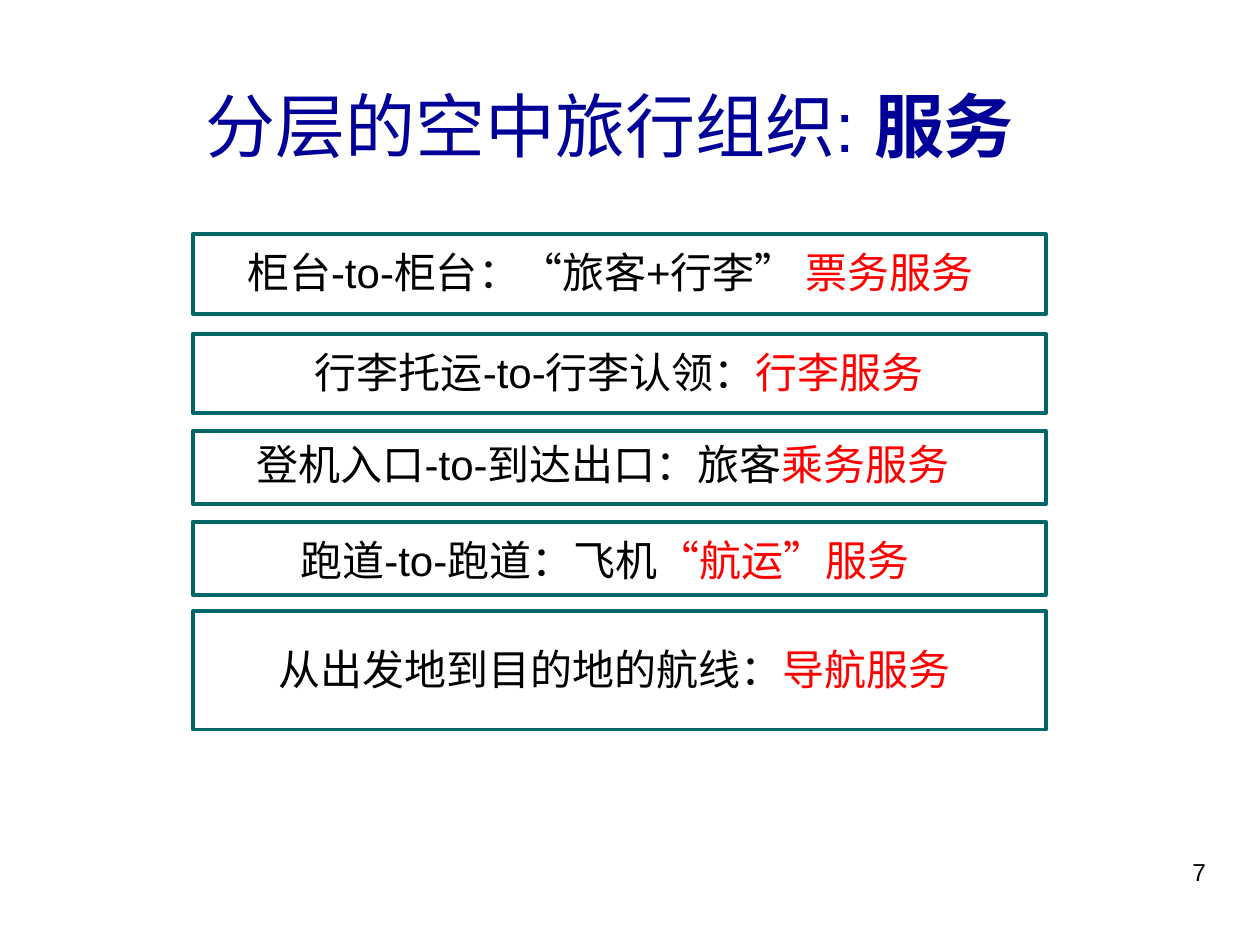
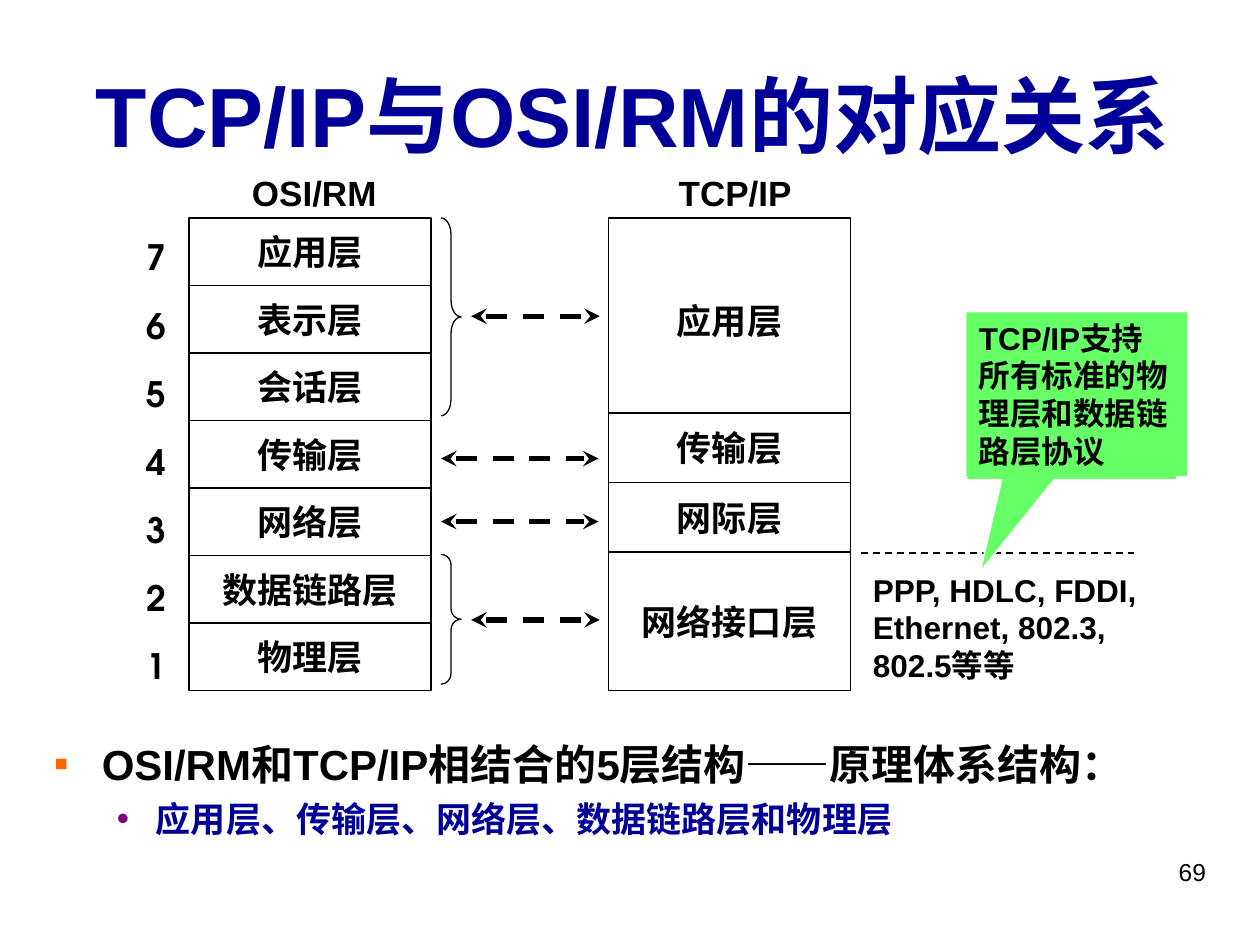
from lxml import etree
from pptx import Presentation
from pptx.dml.color import RGBColor
from pptx.enum import dml, lang, shapes, text
from pptx.oxml.ns import qn
from pptx.util import Inches, Pt

BLACK = RGBColor(0x00, 0x00, 0x00)
WHITE = RGBColor(0xFF, 0xFF, 0xFF)
NAVY = RGBColor(0x00, 0x00, 0x99)
TEAL = RGBColor(0x00, 0x66, 0x66)
RED = RGBColor(0xFF, 0x00, 0x00)
GREEN = RGBColor(0x66, 0xFF, 0x66)
LEFT, CENTER, RIGHT = text.PP_ALIGN.LEFT, text.PP_ALIGN.CENTER, text.PP_ALIGN.RIGHT

# Content: air travel services (frame top, frame height, label box, wrap, route, service, font)
FRAME_LEFT, FRAME_WIDTH = 1.53, 6.77
SERVICES = [
    (1.86, 0.63, (1.7, 1.91, 6.29, 0.5), False, "柜台-to-柜台：“旅客+行李” ", "票务服务", "Arial"),
    (2.65, 0.63, (2.32, 2.7, 5.19, 0.5), False, "行李托运-to-行李认领：", "行李服务", "Arial"),
    (3.42, 0.58, (1.86, 3.43, 5.93, 0.5), False, "登机入口-to-到达出口：旅客", "乘务服务 ", "Arial"),
    (4.14, 0.58, (1.69, 4.19, 6.22, 0.5), True, "跑道-to-跑道：飞机", "“航运”服务", "Arial"),
    (4.85, 0.94, (1.77, 5.06, 6.22, 0.5), True, "从出发地到目的地的航线：", "导航服务", "Comic Neue"),
]

# Content: the two protocol stacks
STACK_TOP, STACK_HEIGHT, LAYER_WIDTH = 1.73, 3.75, 1.92
OSI_LEFT, TCP_LEFT = 1.5, 4.83
OSI_LAYERS = ["应用层", "表示层", "会话层", "传输层", "网络层", "数据链路层", "物理层"]
TCP_LAYERS = [("应用层", 1.73, 1.62), ("传输层", 3.28, 0.55),
              ("网际层", 3.83, 0.55), ("网络接口层", 4.38, 1.1)]
STACK_NAMES = [("OSI/RM", 1.33), ("TCP/IP", 4.67)]
BRACES = [(1.73, 1.57), (4.4, 1.03)]
MATCHES = [(3.74, 4.76, 2.51), (3.5, 4.75, 3.64), (3.5, 4.75, 4.14), (3.74, 4.76, 4.92)]
LINK_PROTOCOLS = "PPP, HDLC, FDDI, Ethernet, 802.3, 802.5等等"
CALLOUT = ["TCP/IP支持", "所有标准的物理层和数据链路层协议"]
# Summary lines: text, size, colour, bullet, bullet colour, margin, hanging indent, space before
SUMMARY = [
    ("OSI/RM和TCP/IP相结合的5层结构——原理体系结构：", 24, BLACK, "▪", "FF6600", 0.38, 0.38, 0),
    ("应用层、传输层、网络层、数据链路层和物理层", 20, NAVY, "•", "800080", 0.81, 0.31, 5),
]


def inches(*lengths):
    return [Inches(length) for length in lengths]


def write(frame, paragraphs, size=20, color=BLACK, bold=False, font="Arial", align=LEFT,
          middle=False, wrap=True, before=0, spacing=None):
    """Each paragraph is a string or a list of (text, run overrides)."""
    frame.word_wrap = wrap
    frame.vertical_anchor = text.MSO_ANCHOR.MIDDLE if middle else text.MSO_ANCHOR.TOP
    for i, runs in enumerate(paragraphs):
        paragraph = frame.add_paragraph() if i else frame.paragraphs[0]
        paragraph.alignment = align
        if i:
            paragraph.space_before = Pt(before)
        if spacing:
            paragraph.line_spacing = spacing
        for words, change in [(runs, {})] if isinstance(runs, str) else runs:
            run = paragraph.add_run()
            run.text = words
            run.font.name = font
            run.font.size = Pt(change.get("size", size))
            run.font.bold = change.get("bold", bold)
            run.font.color.rgb = change.get("color", color)
            run.font.language_id = lang.MSO_LANGUAGE_ID.SIMPLIFIED_CHINESE
    return frame


def add_label(slide, box, paragraphs, **style):
    return write(slide.shapes.add_textbox(*inches(*box)).text_frame, paragraphs, **style)


def add_block(slide, box, fill=None, line=None, width=1.0, kind=shapes.MSO_SHAPE.RECTANGLE):
    block = slide.shapes.add_shape(kind, *inches(*box))
    block.shadow.inherit = False
    if fill is None:
        block.fill.background()
    else:
        block.fill.solid()
        block.fill.fore_color.rgb = fill
    if line is None:
        block.line.fill.background()
    else:
        block.line.color.rgb = line
        block.line.width = Pt(width)
    return block


def add_dashed(slide, left, right, y, width, arrows=False):
    dashed = slide.shapes.add_connector(shapes.MSO_CONNECTOR.STRAIGHT, *inches(left, y, right, y))
    dashed.line.color.rgb = BLACK
    dashed.line.width = Pt(width)
    dashed.line.dash_style = dml.MSO_LINE.DASH
    properties = dashed.element.spPr
    if arrows:
        for end in ("a:headEnd", "a:tailEnd"):
            etree.SubElement(properties.find(qn("a:ln")), qn(end), type="stealth")
    etree.SubElement(properties, qn("a:effectLst"))


def add_layer(slide, left, top, height, name):
    layer = add_block(slide, (left, top, LAYER_WIDTH, height), WHITE, BLACK)
    write(layer.text_frame, [name], bold=True, align=CENTER, middle=True, wrap=False)


def set_bullet(paragraph, mark, color, margin, hanging):
    properties = paragraph._p.get_or_add_pPr()
    properties.set("marL", str(Inches(margin)))
    properties.set("indent", str(-Inches(hanging)))
    bullet_color = etree.SubElement(properties, qn("a:buClr"))
    etree.SubElement(bullet_color, qn("a:srgbClr"), val=color)
    etree.SubElement(properties, qn("a:buFont"), typeface="Arial")
    etree.SubElement(properties, qn("a:buChar"), char=mark)


def add_page(deck, number, title, box, **style):
    """A blank slide with the shared title style and page number."""
    slide = deck.slides.add_slide(deck.slide_layouts[6])
    add_label(slide, box, [title], color=NAVY, align=CENTER, middle=True, **style)
    add_label(slide, (7.17, 6.75, 2.5, 0.52), [number], size=14, align=RIGHT)
    return slide


def build_services(deck):
    slide = add_page(deck, "7", [("分层的空中旅行组织: ", {}), ("服务", {"bold": True})],
                     (0.59, 0.36, 8.5, 1.25), size=40)
    for top, height, box, wrap, route, service, font in SERVICES:
        add_block(slide, (FRAME_LEFT, top, FRAME_WIDTH, height), line=TEAL, width=2.25)
        add_label(slide, box, [[(route, {}), (service, {"color": RED})]],
                  size=24, font=font, align=CENTER, wrap=wrap)


def build_stacks(deck):
    slide = add_page(deck, "69", "TCP/IP与OSI/RM的对应关系", (0.35, 0.28, 9.34, 1.25),
                     size=48, bold=True)

    # Stacks, their names and the layer numbers
    step = STACK_HEIGHT / len(OSI_LAYERS)
    for i, name in enumerate(OSI_LAYERS):
        add_layer(slide, OSI_LEFT, STACK_TOP + i * step, step, name)
    for name, top, height in TCP_LAYERS:
        add_layer(slide, TCP_LEFT, top, height, name)
    for name, left in STACK_NAMES:
        add_label(slide, (left, 1.31, 2.33, 0.44), [name], bold=True, align=CENTER)
    numbers = [str(n) for n in range(len(OSI_LAYERS), 0, -1)]
    add_label(slide, (1, 1.79, 0.42, 3.71), numbers, bold=True, font="TeX Gyre Adventor",
              align=RIGHT, before=12.5, spacing=1.1)

    # Matching layers
    brace_width = 0.16
    for top, height in BRACES:
        brace = add_block(slide, (3.5, top, brace_width, height), line=BLACK, width=0.75,
                          kind=shapes.MSO_SHAPE.RIGHT_BRACE)
        brace.adjustments[0] = height / 12 / brace_width
    for left, right, y in MATCHES:
        add_dashed(slide, left, right, y, 3, arrows=True)

    # Link protocols and callout
    add_dashed(slide, 6.83, 9, 4.39, 1)
    add_label(slide, (6.83, 4.48, 2.65, 1), [LINK_PROTOCOLS], size=18, bold=True)
    pointer = add_block(slide, (7.67, 2.48, 1.67, 1.33), GREEN, WHITE,
                        kind=shapes.MSO_SHAPE.RECTANGULAR_CALLOUT)
    pointer.adjustments[0], pointer.adjustments[1] = -0.435, 1.049
    note = add_block(slide, (7.67, 2.48, 1.75, 1.3), GREEN)
    write(note.text_frame, CALLOUT, size=18, bold=True)

    # Summary
    lines = [[(words, {"size": size, "color": color})] for words, size, color, *_ in SUMMARY]
    summary = add_label(slide, (0.33, 5.81, 9.34, 1), lines, bold=True)
    for paragraph, (*_, mark, color, margin, hanging, before) in zip(summary.paragraphs, SUMMARY):
        paragraph.space_before = Pt(before)
        set_bullet(paragraph, mark, color, margin, hanging)


def main():
    deck = Presentation()
    deck.slide_width, deck.slide_height = inches(10, 7.5)
    build_services(deck)
    build_stacks(deck)
    deck.save("out.pptx")


if __name__ == "__main__":
    main()
